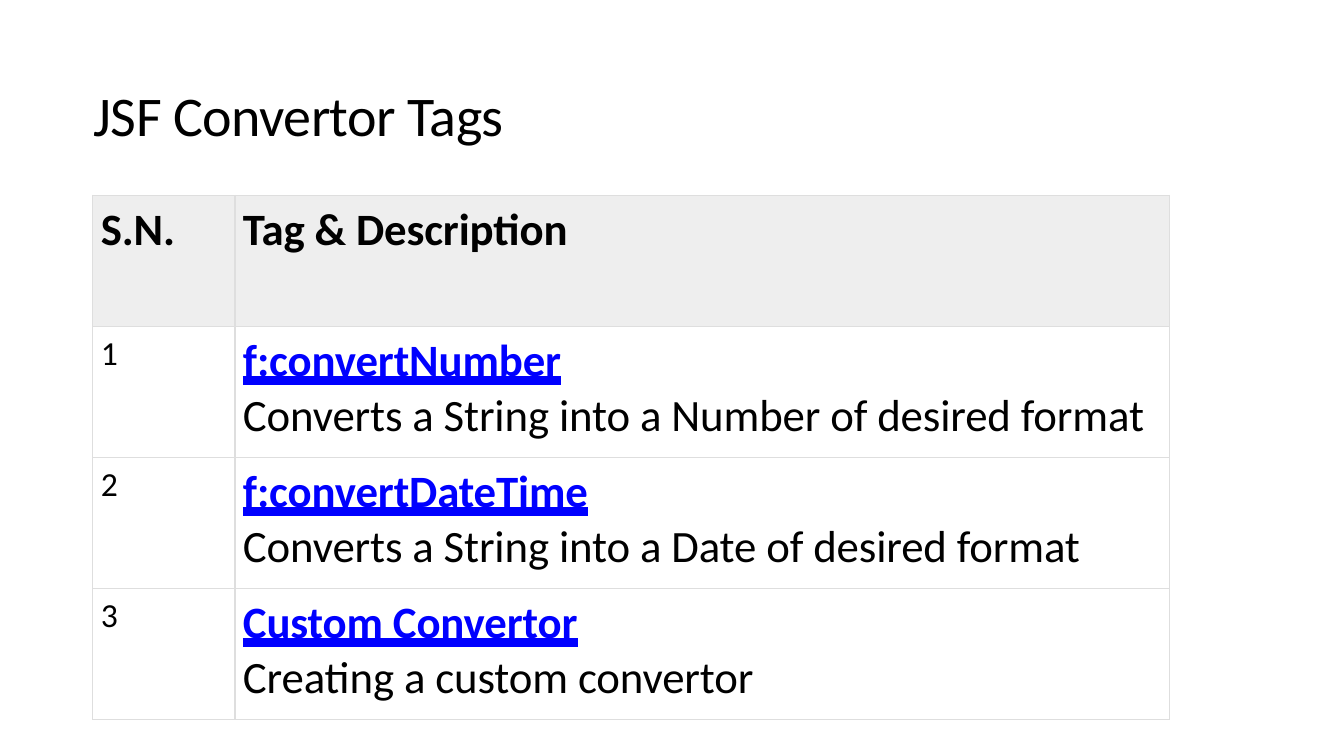
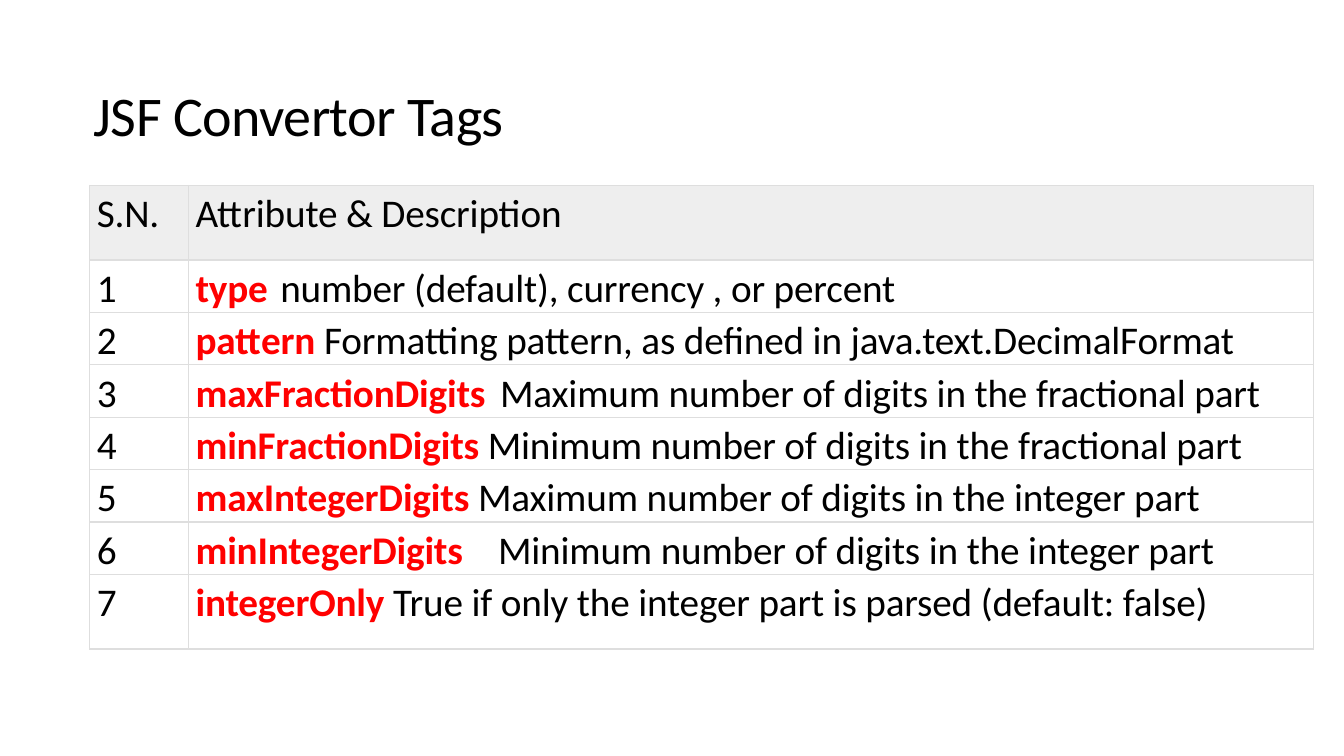
from pptx import Presentation
from pptx.dml.color import RGBColor
from pptx.enum.text import MSO_ANCHOR, MSO_UNDERLINE
from pptx.oxml import parse_xml
from pptx.oxml.ns import nsdecls
from pptx.util import Inches, Pt

WIDE, HIGH = 13.33, 7.5
FONT = "Calibri"
BLACK, BLUE, RED = "000000", "0000FF", "FF0000"
HEAD, RULE = "EEEEEE", "DEDEDE"
TITLE = "JSF Convertor Tags"

# Content: tag with its description
TAGS = [
    ("f:convertNumber", "Converts a String into a Number of desired format"),
    ("f:convertDateTime", "Converts a String into a Date of desired format"),
    ("Custom Convertor", "Creating a custom convertor"),
]

# Content: attribute, gap, description, tab stop in inches if the gap is a tab
ATTRS = [
    ("type", "\t", "number (default), currency , or percent", 0.84),
    ("pattern", " ", "Formatting pattern, as defined in java.text.DecimalFormat", None),
    ("maxFractionDigits", "\t", "Maximum number of digits in the fractional part", 3.02),
    ("minFractionDigits", " ", "Minimum number of digits in the fractional part", None),
    ("maxIntegerDigits", " ", "Maximum number of digits in the integer part", None),
    ("minIntegerDigits", "\t", "Minimum number of digits in the integer part", 3.0),
    ("integerOnly", " ", "True if only the integer part is parsed (default: false)", None),
]


def color(code):
    return RGBColor.from_string(code)


def style(para, size, bold=False):
    font = para.font
    font.name, font.size, font.bold = FONT, Pt(size), bold
    font.color.rgb = color(BLACK)


def write(para, text, tint=None, line=False, track=-10):
    """Add a run; a tint makes it a bold accent."""
    run = para.add_run()
    run.text = text
    run.font._element.set("spc", str(track))
    if tint:
        run.font.bold = True
        run.font.color.rgb = color(tint)
    if line:
        run.font.underline = MSO_UNDERLINE.HEAVY_LINE


def set_tab(para, stop):
    props = para._p.get_or_add_pPr()
    tabs = parse_xml(f'<a:tabLst {nsdecls("a")}>'
                     f'<a:tab pos="{Inches(stop)}" algn="l"/></a:tabLst>')
    props.insert_element_before(tabs, "a:defRPr", "a:extLst")


def add_edges(cell):
    props = cell._tc.get_or_add_tcPr()
    for spot, side in enumerate(("lnL", "lnR", "lnT", "lnB")):
        edge = (f'<a:{side} {nsdecls("a")} w="{Pt(1)}"><a:solidFill>'
                f'<a:srgbClr val="{RULE}"/></a:solidFill></a:{side}>')
        props.insert(spot, parse_xml(edge))


def add_slide(deck):
    slide = deck.slides.add_slide(deck.slide_layouts[6])
    box = slide.shapes.add_textbox(Inches(0.92), Inches(0.4), Inches(11.5), Inches(1.45))
    frame = box.text_frame
    frame.word_wrap = True
    frame.vertical_anchor = MSO_ANCHOR.MIDDLE
    frame.margin_left = frame.margin_top = Inches(0.01)
    frame.margin_right = frame.margin_bottom = 0
    para = frame.paragraphs[0]
    style(para, 40)
    write(para, TITLE, track=-40)
    return slide


def add_grid(slide, left, top, cols, rows, pad):
    """Add a ruled table with a grey head row; pad is left, top."""
    shape = slide.shapes.add_table(len(rows), len(cols), Inches(left), Inches(top),
                                   Inches(sum(cols)), Inches(sum(rows)))
    table = shape.table
    table.first_row = table.horz_banding = False
    for col, wide in zip(table.columns, cols):
        col.width = Inches(wide)
    for num, (row, high) in enumerate(zip(table.rows, rows)):
        row.height = Inches(high)
        for cell in row.cells:
            cell.margin_left, cell.margin_top = Inches(pad[0]), Inches(pad[1])
            cell.margin_right = cell.margin_bottom = 0
            if num == 0:
                cell.fill.solid()
                cell.fill.fore_color.rgb = color(HEAD)
            else:
                cell.fill.background()
            add_edges(cell)
    return table


def fill_cell(table, row, col, text, size, bold=False):
    para = table.cell(row, col).text_frame.paragraphs[0]
    style(para, size, bold)
    if text:
        write(para, text)
    return para


def tag_slide(deck):
    rows = [1.3] * (len(TAGS) + 1)
    table = add_grid(add_slide(deck), 0.92, 1.94, (1.41, 9.27), rows, (0.08, 0.07))
    for col, text in enumerate(("S.N.", "Tag & Description")):
        fill_cell(table, 0, col, text, 32, True)
    for num, (tag, note) in enumerate(TAGS, 1):
        fill_cell(table, num, 0, str(num), 24)
        para = fill_cell(table, num, 1, "", 32)
        write(para, tag, BLUE, True)
        para = table.cell(num, 1).text_frame.add_paragraph()
        style(para, 32)
        write(para, note)


def attr_slide(deck):
    rows = [0.74] + [0.52] * (len(ATTRS) - 1) + [0.74]
    table = add_grid(add_slide(deck), 0.89, 1.84, (0.98, 11.16), rows, (0.07, 0.05))
    for col, text in enumerate(("S.N.", "Attribute & Description")):
        fill_cell(table, 0, col, text, 28)
    for num, (name, gap, note, stop) in enumerate(ATTRS, 1):
        fill_cell(table, num, 0, str(num), 28)
        para = fill_cell(table, num, 1, "", 28)
        if stop:
            set_tab(para, stop)
        write(para, name + gap, RED)
        write(para, note)


def main():
    deck = Presentation()
    deck.slide_width, deck.slide_height = Inches(WIDE), Inches(HIGH)
    tag_slide(deck)
    attr_slide(deck)
    deck.save("out.pptx")


if __name__ == "__main__":
    main()
